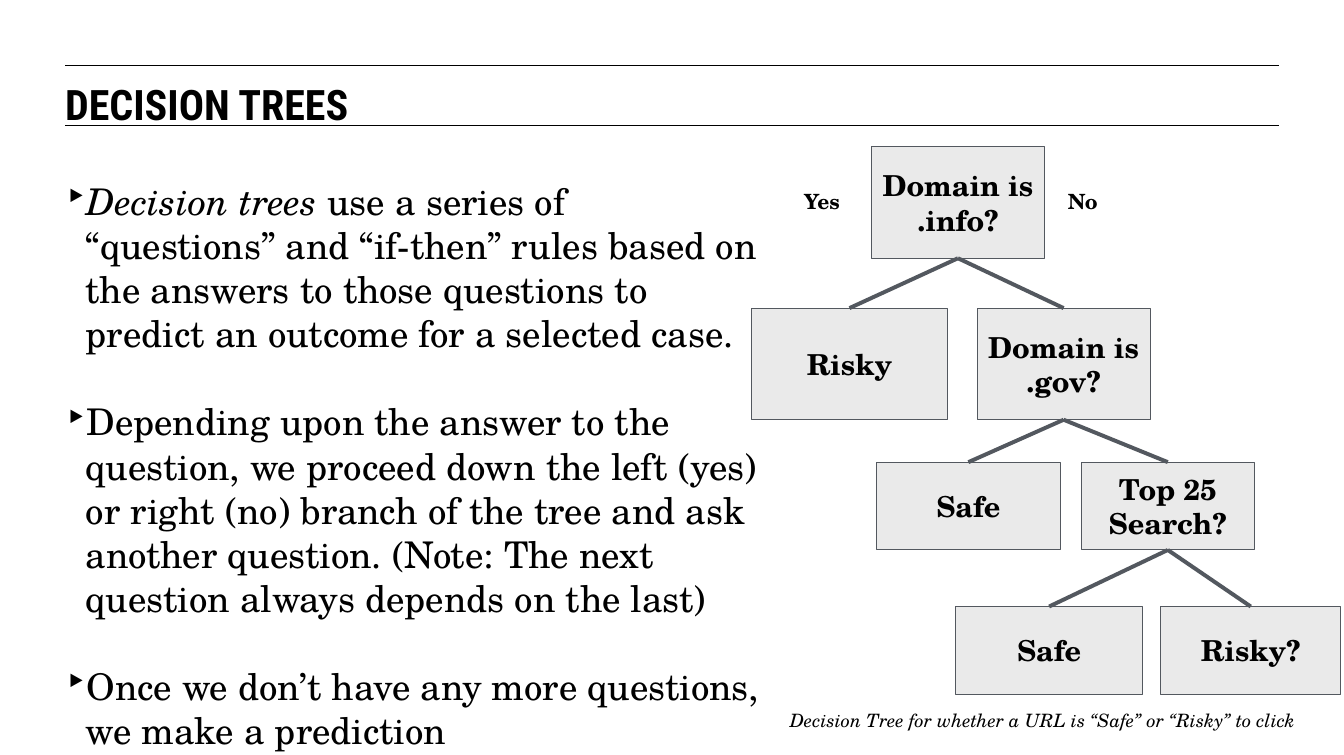
from dataclasses import dataclass

from lxml import etree
from pptx import Presentation
from pptx.dml.color import RGBColor
from pptx.enum.shapes import MSO_CONNECTOR, MSO_SHAPE
from pptx.enum.text import MSO_ANCHOR, PP_ALIGN
from pptx.oxml.ns import qn
from pptx.util import Cm, Pt

STRAIGHT = MSO_CONNECTOR.STRAIGHT
RECTANGLE = MSO_SHAPE.RECTANGLE
TOP, MIDDLE = MSO_ANCHOR.TOP, MSO_ANCHOR.MIDDLE
LEFT, CENTER = PP_ALIGN.LEFT, PP_ALIGN.CENTER
TOP_SITE, BOTTOM_SITE = 0, 2
TITLE_ONLY = 5


@dataclass(frozen=True)
class Theme:
    head_font: str = "Roboto Condensed"
    body_font: str = "TeX Gyre Schola"
    ink: str = "000000"
    node_fill: str = "EAEAEA"
    node_line: str = "53585F"
    title_size: int = 32
    body_size: int = 28
    node_size: int = 22
    label_size: int = 16
    caption_size: int = 14
    thin: float = 0.75
    thick: float = 3


class SlideBuilder:
    def __init__(self, prs, theme):
        self.theme = theme
        self.slide = prs.slides.add_slide(prs.slide_layouts[TITLE_ONLY])

    def style_run(self, r, size, font=None, bold=False, italic=False):
        r.font.name = font or self.theme.body_font
        r.font.size = Pt(size)
        r.font.bold = bold
        r.font.italic = italic
        r.font.color.rgb = RGBColor.from_string(self.theme.ink)

    def frame(self, sp, inset_x=0, inset_y=0, anchor=TOP, wrap=True):
        """Set the insets, anchor and wrapping of a shape's text."""
        tf = sp.text_frame
        tf.margin_left = tf.margin_right = Cm(inset_x)
        tf.margin_top = tf.margin_bottom = Cm(inset_y)
        tf.vertical_anchor = anchor
        tf.word_wrap = wrap
        return tf

    def title(self, text, left, top, width, height):
        sp = self.slide.shapes.title
        sp.left, sp.top, sp.width, sp.height = map(Cm, (left, top, width, height))
        tf = self.frame(sp)
        tf.text = text
        p = tf.paragraphs[0]
        p.alignment = LEFT
        p.line_spacing = 1.0
        self.style_run(p.runs[0], self.theme.title_size, self.theme.head_font, bold=True)

    def line(self, x1, y1, x2, y2, color, weight):
        cx = self.slide.shapes.add_connector(STRAIGHT, *map(Cm, (x1, y1, x2, y2)))
        cx.line.color.rgb = RGBColor.from_string(color)
        cx.line.width = Pt(weight)
        etree.SubElement(cx._element.spPr, qn("a:effectLst"))
        return cx

    def rule(self, y, left, right):
        self.line(left, y, right, y, self.theme.ink, self.theme.thin)

    def bullets(self, items, left, top, width, height, indent, gap):
        """Each item is a list of (text, italic) pieces."""
        sp = self.slide.shapes.add_textbox(*map(Cm, (left, top, width, height)))
        tf = self.frame(sp)
        for i, pieces in enumerate(items):
            p = tf.add_paragraph() if i else tf.paragraphs[0]
            p.space_after = Pt(gap)
            for text, italic in pieces:
                r = p.add_run()
                r.text = text
                self.style_run(r, self.theme.body_size, italic=italic)
            pPr = p._p.get_or_add_pPr()
            pPr.set("marL", str(Cm(indent)))
            pPr.set("indent", str(-Cm(indent)))
            color = etree.SubElement(pPr, qn("a:buClr"))
            etree.SubElement(color, qn("a:srgbClr"), val=self.theme.ink)
            etree.SubElement(pPr, qn("a:buChar"), char="‣")

    def label(self, text, left, top, width, height, size, **style):
        sp = self.slide.shapes.add_textbox(*map(Cm, (left, top, width, height)))
        tf = self.frame(sp, 0.25, 0.13, wrap=False)
        tf.text = text
        self.style_run(tf.paragraphs[0].runs[0], size, **style)

    def node(self, text, left, top, width, height):
        sp = self.slide.shapes.add_shape(RECTANGLE, *map(Cm, (left, top, width, height)))
        sp.shadow.inherit = False
        sp.fill.solid()
        sp.fill.fore_color.rgb = RGBColor.from_string(self.theme.node_fill)
        sp.line.color.rgb = RGBColor.from_string(self.theme.node_line)
        sp.line.width = Pt(self.theme.thin)
        tf = self.frame(sp, 0.25, 0.25, MIDDLE)
        tf.text = text
        p = tf.paragraphs[0]
        p.alignment = CENTER
        self.style_run(p.runs[0], self.theme.node_size, bold=True)
        return sp

    def branch(self, parent, child):
        cx = self.line(0, 0, 1, 1, self.theme.node_line, self.theme.thick)
        cx.begin_connect(parent, BOTTOM_SITE)
        cx.end_connect(child, TOP_SITE)

    def tree(self, levels):
        """Draw the levels; the last node of each one is the parent of the next."""
        parent = None
        for top, height, nodes in levels:
            for text, left, width in nodes:
                sp = self.node(text, left, top, width, height)
                if parent is not None:
                    self.branch(parent, sp)
            parent = sp


MARGIN, RIGHT = 1.75, 34.37
QUESTION_WIDTH = 4.65

BULLETS = [
    [("Decision trees ", True),
     ("use a series of “questions” and “if-then” rules based on the answers "
      "to those questions to predict an outcome for a selected case.", False)],
    [("Depending upon the answer to the question, we proceed down the left (yes) "
      "or right (no) branch of the tree and ask another question. "
      "(Note: The next question always depends on the last)", False)],
    [("Once we don’t have any more questions, we make a prediction", False)],
]

# top, height, [(text, left, width), ...]
TREE_LEVELS = [
    (3.94, 3.0, [("Domain is .info?", 23.42, QUESTION_WIDTH)]),
    (8.28, 3.0, [("Risky", 20.19, 5.28), ("Domain is .gov?", 26.26, QUESTION_WIDTH)]),
    (12.42, 2.36, [("Safe", 23.55, 4.95), ("Top 25 Search?", 29.06, QUESTION_WIDTH)]),
    (16.3, 2.36, [("Safe", 25.68, 5.03), ("Risky?", 31.19, 4.85)]),
]


def main():
    prs = Presentation()
    prs.slide_width, prs.slide_height = Cm(36.12), Cm(20.29)
    theme = Theme()
    s = SlideBuilder(prs, theme)
    for y in (1.75, 3.38):
        s.rule(y, MARGIN, RIGHT)
    s.title("DECISION TREES", MARGIN, 2.1, RIGHT - MARGIN, 1.2)
    s.bullets(BULLETS, MARGIN, 4.8, 18.75, 15.3, indent=0.56, gap=33.6)
    s.tree(TREE_LEVELS)
    for text, left, width in (("Yes", 21.36, 1.55), ("No", 28.45, 1.35)):
        s.label(text, left, 4.95, width, 0.94, theme.label_size, bold=True)
    s.label("Decision Tree for whether a URL is “Safe” or “Risky” to click",
            20.98, 18.92, 14.17, 0.86, theme.caption_size, italic=True)
    prs.save("out.pptx")


if __name__ == "__main__":
    main()
